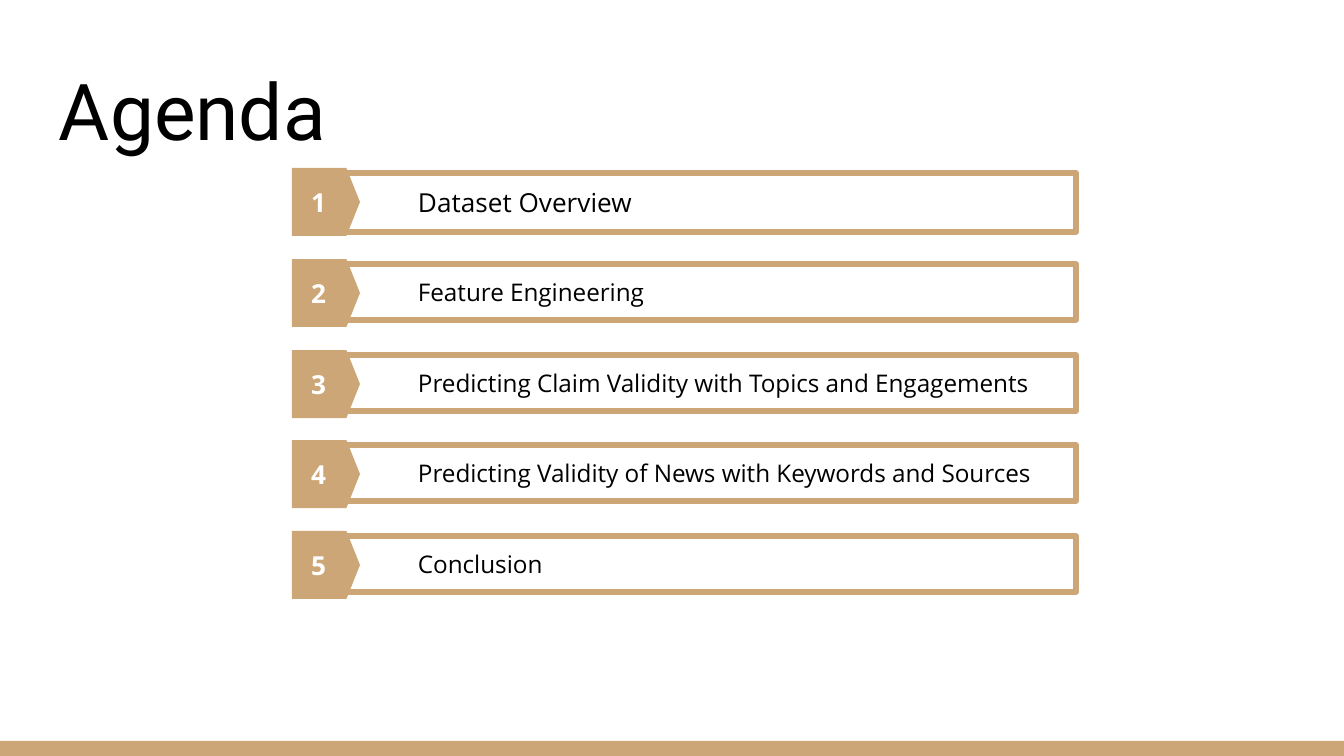
from pptx import Presentation
from pptx.dml.color import RGBColor
from pptx.enum.shapes import MSO_SHAPE as SHAPE
from pptx.enum.text import MSO_ANCHOR as ANCHOR, MSO_AUTO_SIZE as FIT, PP_ALIGN as ALIGN
from pptx.util import Inches, Pt

SLIDE_W, SLIDE_H = 1344, 756
SCALE = Inches(10) / SLIDE_W
INSET = 13
COLORS = {"tan": "CCA677", "black": "000000", "white": "FFFFFF"}

# Agenda entries with their text size
TOPICS = [
    ("Dataset Overview", 14),
    ("Feature Engineering", 13),
    ("Predicting Claim Validity with Topics and Engagements", 13),
    ("Predicting Validity of News with Keywords and Sources", 13),
    ("Conclusion", 13),
]
FIRST_TOP, LAST_TOP = 168, 531


def px(n):
    return round(n * SCALE)


def color(name):
    return RGBColor.from_string(COLORS[name])


def write(sp, text, size=14, font="Open Sans", fill="black", bold=False,
          left=INSET, anchor=ANCHOR.TOP, fit=FIT.SHAPE_TO_FIT_TEXT):
    tf = sp.text_frame
    tf.word_wrap = True
    tf.auto_size = fit
    tf.vertical_anchor = anchor
    tf.margin_left = px(left)
    tf.margin_right = tf.margin_top = tf.margin_bottom = px(INSET)
    p = tf.paragraphs[0]
    p.alignment = ALIGN.LEFT
    r = p.add_run()
    r.text = text
    r.font.name, r.font.size, r.font.bold = font, Pt(size), bold
    r.font.color.rgb = color(fill)


def add_shape(shapes, kind, x, y, w, h, fill=None, line=None):
    sp = shapes.add_shape(kind, px(x), px(y), px(w), px(h))
    sp.shadow.inherit = False
    if fill:
        sp.fill.solid()
        sp.fill.fore_color.rgb = color(fill)
    else:
        sp.fill.background()
    if line:
        sp.line.color.rgb = color(line)
        sp.line.width = Pt(3)
    else:
        sp.line.fill.background()
    return sp


def add_title(slide, text):
    sp = slide.shapes.title
    sp.left, sp.top, sp.width, sp.height = px(46), px(47), px(1253), px(122)
    write(sp, text, size=42, font="Roboto", anchor=ANCHOR.BOTTOM, fit=FIT.NONE)


def add_topic(slide, number, topic, size, top):
    shapes = slide.shapes.add_group_shape().shapes
    # Tag pointing right
    tag = add_shape(shapes, SHAPE.FLOWCHART_OFFPAGE_CONNECTOR, 292, top, 68, 68, fill="tan")
    tag.rotation = 270
    # Outlined topic box
    box = add_shape(shapes, SHAPE.RECTANGLE, 337, top + 5, 739, 59 if size > 13 else 56, line="tan")
    write(box, topic, size=size, left=81)
    # Number on the tag
    label = shapes.add_textbox(px(298), px(top + 5), px(32), px(59))
    write(label, str(number), fill="white", bold=True)


def main():
    prs = Presentation()
    prs.slide_width, prs.slide_height = px(SLIDE_W), px(SLIDE_H)
    slide = prs.slides.add_slide(prs.slide_layouts[5])

    # Bottom bar
    add_shape(slide.shapes, SHAPE.RECTANGLE, 0, 741, SLIDE_W, 15, fill="tan")
    add_title(slide, "Agenda")

    # Evenly spaced topics
    step = (LAST_TOP - FIRST_TOP) / (len(TOPICS) - 1)
    for i, (topic, size) in enumerate(TOPICS):
        add_topic(slide, i + 1, topic, size, round(FIRST_TOP + i * step))

    prs.save("out.pptx")


if __name__ == "__main__":
    main()
